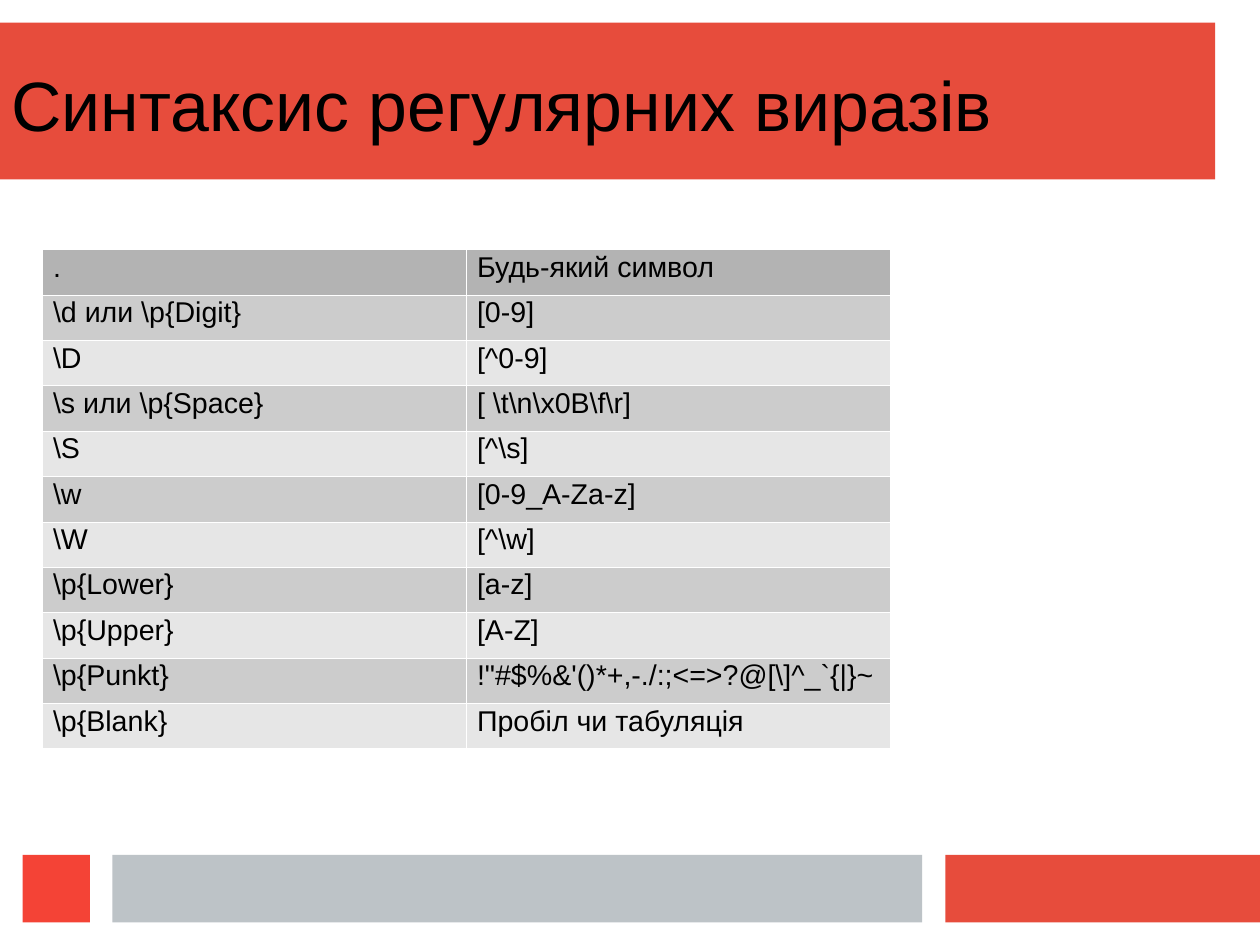
from dataclasses import dataclass

import lxml.etree
import pptx
import pptx.dml.color
import pptx.enum.shapes
import pptx.enum.text
import pptx.oxml.ns
import pptx.util

Pt = pptx.util.Pt
FONT = "Arial"
RED = "E74C3C"
HEADER_GREY, DARK_GREY, LIGHT_GREY = "B3B3B3", "CCCCCC", "E6E6E6"
COLUMN_WIDTH = 267.1
ROW_HEIGHT = 28.6


@dataclass(frozen=True)
class Band:
    left: float
    top: float
    width: float
    height: float
    color: str


BANDS = [
    Band(0, 14.2, 765.4, 98.9, RED),
    Band(595.4, 538.6, 198.2, 42.5, RED),
    Band(70.8, 538.6, 510, 42.5, "BDC3C7"),
    Band(14.2, 538.6, 42.5, 42.5, "F44336"),
]

SYNTAX = [
    (".", "Будь-який символ"),
    (r"\d или \p{Digit}", "[0-9]"),
    (r"\D", "[^0-9]"),
    (r"\s или \p{Space}", r"[ \t\n\x0B\f\r]"),
    (r"\S", r"[^\s]"),
    (r"\w", "[0-9_A-Za-z]"),
    (r"\W", r"[^\w]"),
    (r"\p{Lower}", "[a-z]"),
    (r"\p{Upper}", "[A-Z]"),
    (r"\p{Punkt}", r"""!"#$%&'()*+,-./:;<=>?@[\]^_`{|}~"""),
    (r"\p{Blank}", "Пробіл чи табуляція"),
]


def rgb(color: str) -> pptx.dml.color.RGBColor:
    return pptx.dml.color.RGBColor.from_string(color)


def write(text_frame, text: str, size: float):
    paragraph = text_frame.paragraphs[0]
    paragraph.text = text
    paragraph.font.name = FONT
    paragraph.font.size = Pt(size)
    paragraph.font.color.rgb = rgb("000000")
    return paragraph


def add_band(slide, band: Band) -> None:
    shape = slide.shapes.add_shape(
        pptx.enum.shapes.MSO_SHAPE.RECTANGLE,
        Pt(band.left), Pt(band.top), Pt(band.width), Pt(band.height))
    shape.shadow.inherit = False
    shape.fill.solid()
    shape.fill.fore_color.rgb = rgb(band.color)
    shape.line.fill.background()


def add_borders(cell, color: str, width: float) -> None:
    qn = pptx.oxml.ns.qn
    properties = cell._tc.get_or_add_tcPr()
    for side in ("a:lnL", "a:lnR", "a:lnT", "a:lnB"):
        line = lxml.etree.SubElement(properties, qn(side), w=str(Pt(width)))
        fill = lxml.etree.SubElement(line, qn("a:solidFill"))
        lxml.etree.SubElement(fill, qn("a:srgbClr"), val=color)


def row_color(row: int) -> str:
    if row == 0:
        return HEADER_GREY
    return DARK_GREY if row % 2 else LIGHT_GREY


def add_syntax_table(slide) -> None:
    table = slide.shapes.add_table(
        len(SYNTAX), 2, Pt(26.2), Pt(157.2),
        Pt(2 * COLUMN_WIDTH), Pt(len(SYNTAX) * ROW_HEIGHT)).table
    table.first_row = False
    table.horz_banding = False
    for column in table.columns:
        column.width = Pt(COLUMN_WIDTH)
    for row, texts in enumerate(SYNTAX):
        table.rows[row].height = Pt(ROW_HEIGHT)
        for column, text in enumerate(texts):
            cell = table.cell(row, column)
            add_borders(cell, "FFFFFF", 0.06)
            cell.fill.solid()
            cell.fill.fore_color.rgb = rgb(row_color(row))
            paragraph = write(cell.text_frame, text, 18)
            paragraph.line_spacing = 0.87


def add_title(slide, text: str) -> None:
    text_frame = slide.shapes.add_textbox(
        Pt(0), Pt(33.8), Pt(730.8), Pt(61.2)).text_frame
    text_frame.word_wrap = True
    text_frame.vertical_anchor = pptx.enum.text.MSO_ANCHOR.BOTTOM
    write(text_frame, text, 44)


def main() -> None:
    presentation = pptx.Presentation()
    presentation.slide_width = Pt(793.6)
    presentation.slide_height = Pt(595.4)
    slide = presentation.slides.add_slide(presentation.slide_layouts[6])

    # Coloured bands at the top and bottom
    for band in BANDS:
        add_band(slide, band)

    # Table and title
    add_syntax_table(slide)
    add_title(slide, "Синтаксис регулярних виразів")

    presentation.save("out.pptx")


if __name__ == "__main__":
    main()
